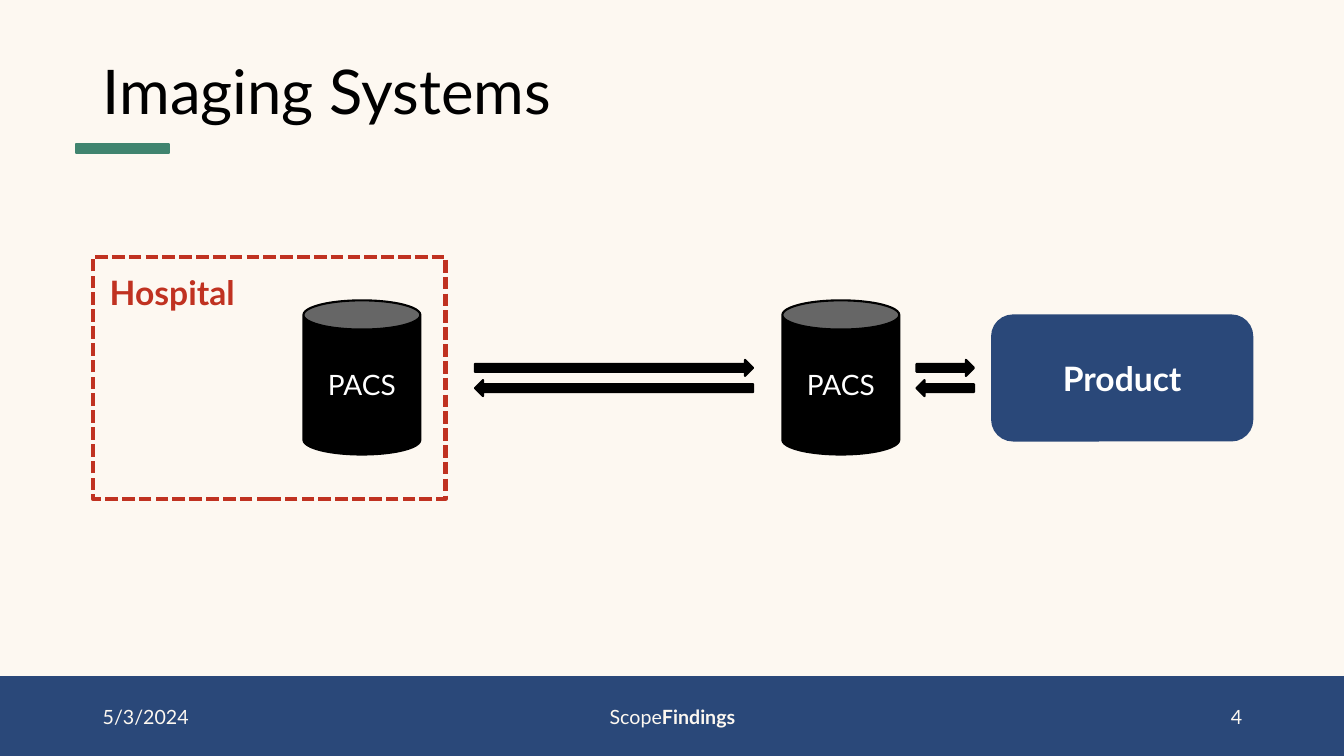
from lxml import etree
from pptx import Presentation
from pptx.dml.color import RGBColor
from pptx.enum.dml import MSO_LINE
from pptx.enum.shapes import MSO_SHAPE as Shape
from pptx.enum.text import MSO_ANCHOR as Anchor, MSO_AUTO_SIZE as AutoSize, PP_ALIGN as Align
from pptx.oxml.ns import qn
from pptx.util import Pt

PX = 9144  # 100 px to the inch
WIDTH, HEIGHT = 1333, 750
CREAM, NAVY, GREEN, RED = "FDF8F1", "2A4879", "40846F", "C03221"
BLACK, WHITE = "000000", "FFFFFF"


def rgb(value):
    return RGBColor.from_string(value)


def scaled(*lengths):
    return [length * PX for length in lengths]


def add_outline(run, color, width):
    """Draw the letters' edges; the line must come first in the run properties."""
    line = etree.Element(qn("a:ln"), w=str(Pt(width)))
    fill = etree.SubElement(line, qn("a:solidFill"))
    etree.SubElement(fill, qn("a:srgbClr"), val=color)
    run.font._element.insert(0, line)


def write(shape, runs, size, color, align=Align.LEFT, anchor=Anchor.MIDDLE, outline=None):
    """Fill a shape with one paragraph of (text, bold) runs."""
    frame = shape.text_frame
    frame.word_wrap = True
    frame.vertical_anchor = anchor
    paragraph = frame.paragraphs[0]
    paragraph.alignment = align
    for text, bold in runs:
        run = paragraph.add_run()
        run.text = text
        for name, value in {"name": "Lato", "size": Pt(size), "bold": bold}.items():
            setattr(run.font, name, value)
        run.font.color.rgb = rgb(color)
        if outline:
            add_outline(run, color, outline)
    return paragraph


def add_block(shapes, kind, box, color):
    shape = shapes.add_shape(kind, *scaled(*box))
    shape.shadow.inherit = False
    shape.fill.solid()
    shape.fill.fore_color.rgb = rgb(color)
    shape.line.color.rgb = rgb(color)
    shape.line.width = Pt(1.5)
    return shape


def add_heading(shapes, left, top, width, height):
    title = shapes.add_textbox(*scaled(left, top, width, height))
    write(title, [("Imaging Systems", False)], 44, BLACK).line_spacing = 0.9
    add_block(shapes, Shape.RECTANGLE, (left - 17, top + 103, 93, 9), GREEN)


def add_footer(shapes, left, top, width, height):
    add_block(shapes, Shape.RECTANGLE, (left, top, width, height), NAVY)
    columns = [
        (92, 300, Align.LEFT, [("5/3/2024", False)]),
        (442, 450, Align.CENTER, [("Scope", False), ("Findings", True)]),
        (942, 300, Align.RIGHT, [("4", False)]),
    ]
    for offset, column_width, align, runs in columns:
        box = shapes.add_textbox(*scaled(left + offset, top + 19, column_width, 40))
        write(box, runs, 14, CREAM, align, outline=0.75)


def add_archive(shapes, left, top):
    can = add_block(shapes, Shape.CAN, (left, top, 116, 153), BLACK)
    write(can, [("PACS", False)], 20, WHITE, Align.CENTER)


def add_hospital(shapes, left, top, width, height):
    group = shapes.add_group_shape().shapes
    border = add_block(group, Shape.RECTANGLE, (left, top, width, height), RED)
    border.fill.background()
    border.line.width = Pt(3)
    border.line.dash_style = MSO_LINE.SQUARE_DOT
    label = group.add_textbox(*scaled(left + 7, top + 10, 173, 50))
    write(label, [("Hospital", True)], 24, RED, anchor=Anchor.TOP)
    label.text_frame.auto_size = AutoSize.SHAPE_TO_FIT_TEXT
    add_archive(group, left + 209, top + 43)


def add_exchange(shapes, left, top, width):
    """Two opposite arrows, one above the other."""
    group = shapes.add_group_shape().shapes
    for row, rotation in enumerate((0, 180)):
        arrow = add_block(group, Shape.RIGHT_ARROW, (left, top + 20 * row, width, 16), BLACK)
        arrow.rotation = rotation


def add_product(shapes, left, top, width, height):
    product = add_block(shapes, Shape.ROUNDED_RECTANGLE, (left, top, width, height), NAVY)
    write(product, [("Product", True)], 24, WHITE, Align.CENTER)


def main():
    presentation = Presentation()
    presentation.slide_width, presentation.slide_height = scaled(WIDTH, HEIGHT)
    slide = presentation.slides.add_slide(presentation.slide_layouts[6])
    slide.background.fill.solid()
    slide.background.fill.fore_color.rgb = rgb(CREAM)
    shapes = slide.shapes

    add_heading(shapes, 92, 40, 1150, 108)
    add_footer(shapes, 0, 672, WIDTH, 78)
    add_product(shapes, 984, 313, 258, 124)
    add_exchange(shapes, 471, 357, 276)
    add_hospital(shapes, 92, 255, 350, 240)
    add_archive(shapes, 776, 298)
    add_exchange(shapes, 909, 357, 57)
    presentation.save("out.pptx")


if __name__ == "__main__":
    main()
